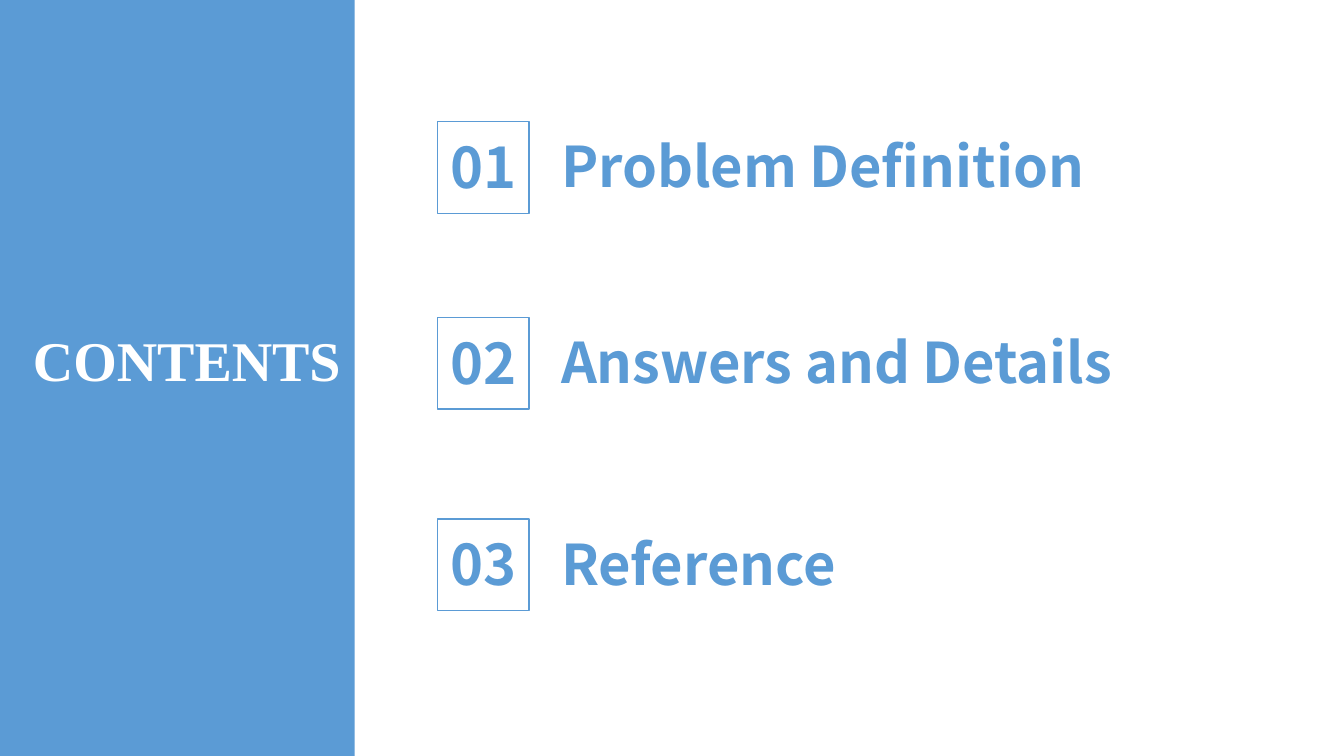
from dataclasses import dataclass

import pptx
import pptx.dml.color
import pptx.enum.shapes
import pptx.enum.text
import pptx.shapes.autoshape
import pptx.shapes.group
import pptx.util

Cm = pptx.util.Cm
ALIGN = pptx.enum.text.PP_ALIGN

COLORS = {"blue": "5B9BD5", "white": "FFFFFF"}
HEADING_FONT = "Times New Roman"
CHAPTER_FONT = "Noto Sans CJK SC"
TEXT_HEIGHT = 1.96
BADGE_LEFT = 11.02
BADGE_SIZE = 2.31


@dataclass
class Chapter:
    label: str
    top: float


CHAPTERS = [
    Chapter("Problem Definition", 3.07),
    Chapter("Answers and Details", 8.0),
    Chapter("Reference", 13.08),
]


def rgb(name: str) -> pptx.dml.color.RGBColor:
    return pptx.dml.color.RGBColor.from_string(COLORS[name])


def write(holder: pptx.shapes.autoshape.Shape, wording: str, font_name: str,
          color: str, alignment: ALIGN) -> None:
    frame = holder.text_frame
    frame.text = wording
    frame.word_wrap = True
    frame.auto_size = pptx.enum.text.MSO_AUTO_SIZE.SHAPE_TO_FIT_TEXT
    frame.vertical_anchor = pptx.enum.text.MSO_ANCHOR.TOP
    paragraph = frame.paragraphs[0]
    paragraph.alignment = alignment
    paragraph.font.name = font_name
    paragraph.font.size = pptx.util.Pt(40)
    paragraph.font.bold = True
    paragraph.font.color.rgb = rgb(color)


def add_chapter_text(row: pptx.shapes.group.GroupShape, wording: str, left: float,
                     top: float, width: float, alignment: ALIGN) -> None:
    holder = row.shapes.add_textbox(Cm(left), Cm(top), Cm(width), Cm(TEXT_HEIGHT))
    write(holder, wording, CHAPTER_FONT, "blue", alignment)


def add_chapter(slide: pptx.slide.Slide, number: int, chapter: Chapter) -> None:
    row = slide.shapes.add_group_shape()
    add_chapter_text(row, chapter.label, 13.89, chapter.top + 0.13, 18.44, ALIGN.LEFT)
    add_chapter_text(row, f"{number:02d}", BADGE_LEFT, chapter.top + 0.15,
                     BADGE_SIZE, ALIGN.CENTER)
    badge = row.shapes.add_shape(
        pptx.enum.shapes.MSO_SHAPE.RECTANGLE,
        Cm(BADGE_LEFT), Cm(chapter.top), Cm(BADGE_SIZE), Cm(BADGE_SIZE))
    badge.shadow.inherit = False
    badge.fill.background()
    badge.line.color.rgb = rgb("blue")
    badge.line.width = pptx.util.Pt(1)


def main() -> None:
    deck = pptx.Presentation()
    deck.slide_width, deck.slide_height = Cm(33.87), Cm(19.05)
    slide = deck.slides.add_slide(deck.slide_layouts.get_by_name("Title Only"))

    heading = slide.shapes.title
    heading.left, heading.top = Cm(-0.13), Cm(8.08)
    heading.width, heading.height = Cm(8.97), Cm(TEXT_HEIGHT)
    write(heading, "CONTENTS", HEADING_FONT, "white", ALIGN.RIGHT)

    side_panel = slide.shapes.add_shape(
        pptx.enum.shapes.MSO_SHAPE.RECTANGLE, 0, 0, Cm(8.94), deck.slide_height)
    side_panel.shadow.inherit = False
    side_panel.fill.solid()
    side_panel.fill.fore_color.rgb = rgb("blue")
    side_panel.line.fill.background()
    heading.element.addprevious(side_panel.element)

    for number, chapter in enumerate(CHAPTERS, start=1):
        add_chapter(slide, number, chapter)

    deck.save("out.pptx")


if __name__ == "__main__":
    main()
